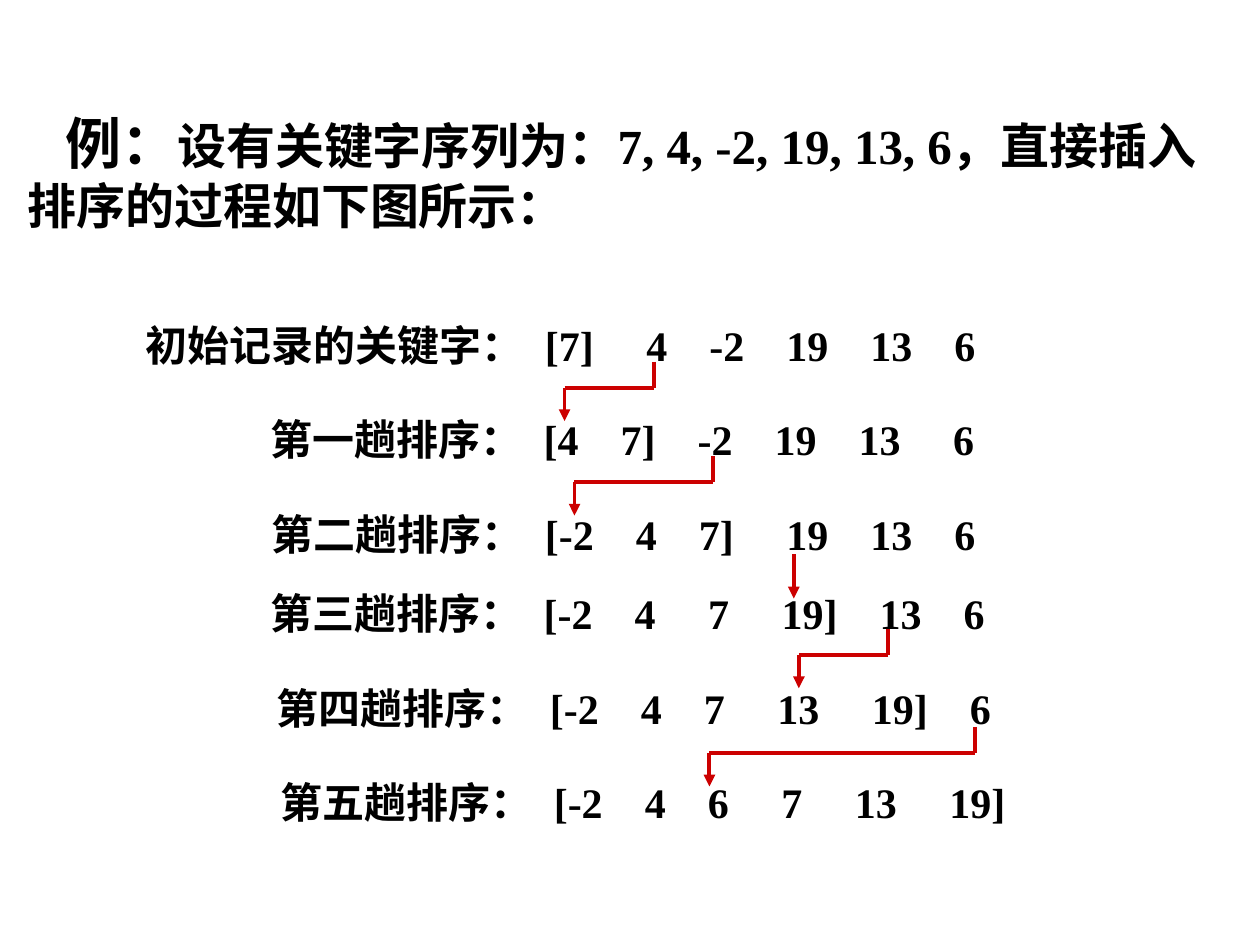
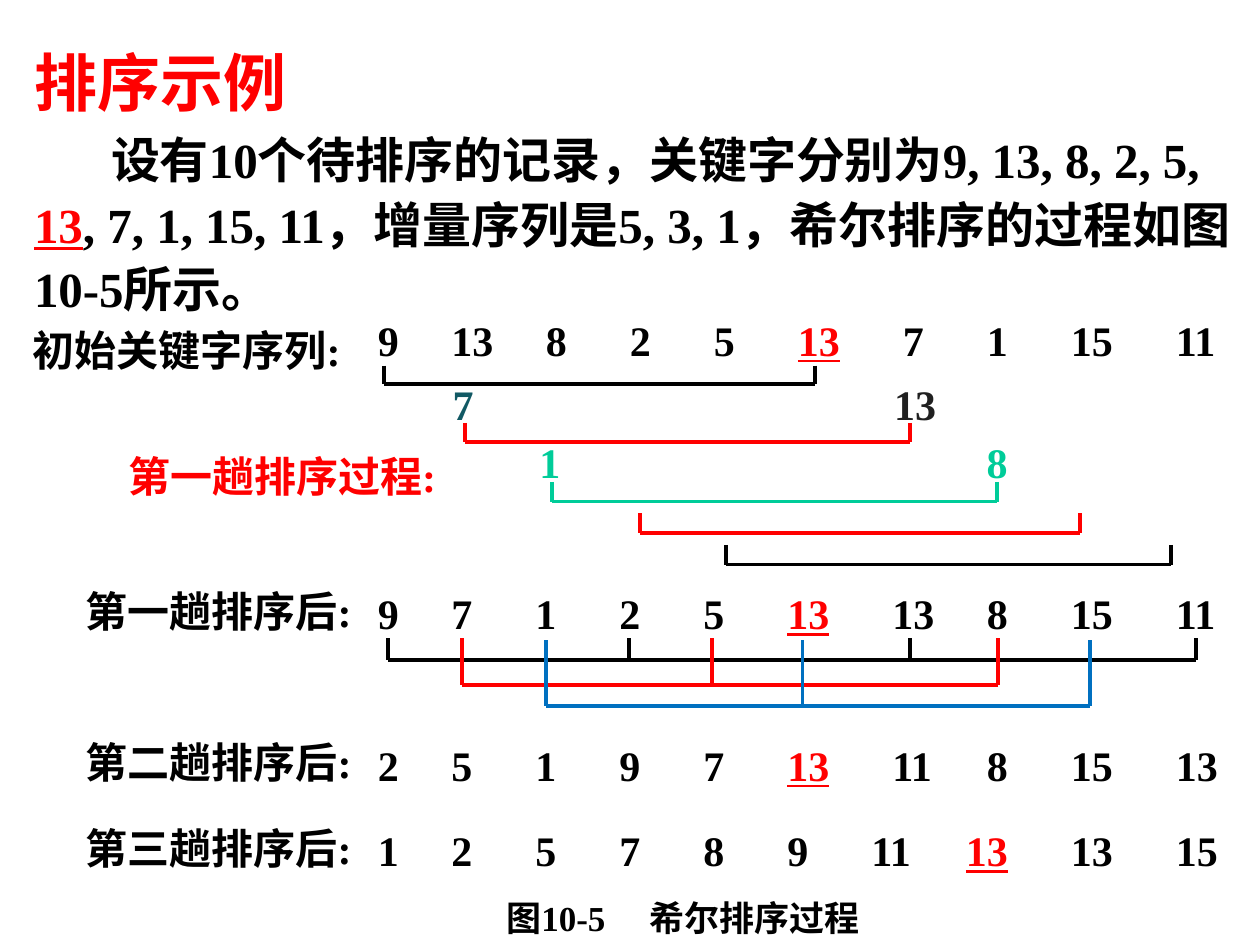
from itertools import accumulate

from pptx import Presentation
from pptx.dml.color import RGBColor
from pptx.enum.shapes import MSO_CONNECTOR as Connector
from pptx.enum.text import MSO_ANCHOR as Anchor, MSO_AUTO_SIZE as AutoSize, PP_ALIGN as Align
from pptx.oxml.ns import qn
from pptx.util import Pt
from lxml.etree import SubElement

BLACK = RGBColor(0x00, 0x00, 0x00)
RED = RGBColor(0xFF, 0x00, 0x00)
ARROW_RED = RGBColor(0xCC, 0x00, 0x00)
BLUE = RGBColor(0x00, 0x70, 0xC0)
GREEN = RGBColor(0x00, 0xCC, 0x99)
TEAL = RGBColor(0x11, 0x59, 0x64)
CHARCOAL = RGBColor(0x20, 0x20, 0x20)

LATIN_FONT = "Times New Roman"
CJK_FONT = "Noto Sans CJK SC"
ROW_SIZE = 24
DIGIT_WIDTH, SIGN_WIDTH = 12, 8
NARROW, WIDE, EXTRA = 24, 30, 36
INSET = 7.2
BLANK_LAYOUT, CONTENT_LAYOUT = 6, 1


def cell_width(cell):
    return sum(DIGIT_WIDTH if char.isdigit() else SIGN_WIDTH for char in cell)


class SortingDeck:
    def __init__(self):
        self.presentation = Presentation()
        self.presentation.slide_width = Pt(720)
        self.presentation.slide_height = Pt(540)
        self.slide = None

    def new_slide(self, layout):
        self.slide = self.presentation.slides.add_slide(
            self.presentation.slide_layouts[layout])

    def frame(self, shape, anchor, inset=INSET):
        """Set the insets and anchor, and return the first paragraph."""
        text_frame = shape.text_frame
        text_frame.word_wrap = True
        text_frame.auto_size = AutoSize.NONE
        text_frame.vertical_anchor = anchor
        text_frame.margin_left = text_frame.margin_right = Pt(inset)
        text_frame.margin_top = text_frame.margin_bottom = Pt(3.6)
        return text_frame.paragraphs[0]

    def box(self, left, top, width, height=31, anchor=Anchor.MIDDLE, inset=INSET):
        shape = self.slide.shapes.add_textbox(Pt(left), Pt(top), Pt(width), Pt(height))
        return self.frame(shape, anchor, inset)

    def placeholder(self, index, left, top, width, height):
        shape = self.slide.placeholders[index]
        shape.left, shape.top = Pt(left), Pt(top)
        shape.width, shape.height = Pt(width), Pt(height)
        paragraph = self.frame(shape, Anchor.TOP)
        paragraph.alignment = Align.LEFT
        paragraph.line_spacing = 1.1
        paragraph.space_before = Pt(0)
        return paragraph

    def indent(self, paragraph, first_line):
        properties = paragraph._p.get_or_add_pPr()
        properties.set("marL", "0")
        properties.set("indent", str(Pt(first_line)))
        SubElement(properties, qn("a:buNone"))

    def tab_stops(self, paragraph, positions):
        tab_list = SubElement(paragraph._p.get_or_add_pPr(), qn("a:tabLst"))
        for position in positions:
            SubElement(tab_list, qn("a:tab"), pos=str(Pt(position)), algn="l")

    def run(self, paragraph, text, size=ROW_SIZE, color=BLACK, underline=None, font=LATIN_FONT):
        run = paragraph.add_run()
        run.text = text
        run.font.name = font
        run.font.size = Pt(size)
        run.font.bold = True
        run.font.underline = underline
        run.font.color.rgb = color
        east_asian = SubElement(run._r.get_or_add_rPr(), qn("a:ea"))
        east_asian.set("typeface", CJK_FONT)

    def label(self, left, top, width, text, color=BLACK, height=31):
        self.run(self.box(left, top, width, height), text, color=color)

    def key(self, left, top, text, color):
        """A single centred key that has moved."""
        paragraph = self.box(left, top, 28, 28, inset=0)
        paragraph.alignment = Align.CENTER
        self.run(paragraph, text, color=color)

    def key_row(self, left, top, width, keys, gaps, label="", marked=None):
        """Keys on tab stops, each placed by the width and gap before it."""
        paragraph = self.box(left, top, width)
        start = ROW_SIZE * len(label) + 12 if label else 0
        steps = [cell_width(key) + gap for key, gap in zip(keys, gaps)]
        stops = list(accumulate(steps, initial=start))
        self.tab_stops(paragraph, stops if label else stops[1:])
        if label:
            self.run(paragraph, label)
            self.run(paragraph, "\t" + "\t".join(keys))
            return
        self.run(paragraph, "\t".join(keys[:marked]) + "\t")
        self.run(paragraph, keys[marked], color=RED, underline=True)
        self.run(paragraph, "\t" + "\t".join(keys[marked + 1:]))

    def line(self, x1, y1, x2, y2, color, arrow=False):
        connector = self.slide.shapes.add_connector(
            Connector.STRAIGHT, Pt(x1), Pt(y1), Pt(x2), Pt(y2))
        connector.line.color.rgb = color
        connector.line.width = Pt(2.25)
        if arrow:
            SubElement(connector.line._get_or_add_ln(), qn("a:tailEnd"), type="triangle")
        SubElement(connector._element.spPr, qn("a:effectLst"))

    def insertion_arrow(self, source_x, target_x, top):
        bar = top + 15
        self.line(source_x, top, source_x, bar, ARROW_RED)
        self.line(target_x, bar, source_x, bar, ARROW_RED)
        self.line(target_x, bar, target_x, bar + 19, ARROW_RED, arrow=True)

    def bracket(self, color, top, base, columns):
        self.line(columns[0], base, columns[-1], base, color)
        for x in columns:
            self.line(x, top, x, base, color)


def insertion_sort_slide(deck):
    deck.new_slide(BLANK_LAYOUT)
    intro = deck.box(8.64, 58.2, 702, 79, Anchor.TOP)
    deck.indent(intro, 21.5)
    deck.run(intro, "例", 32, font=CJK_FONT)
    deck.run(intro, "：", 32)
    deck.run(intro, "设有关键字序列为：7, 4, -2, 19, 13, 6，直接插入排序的过程如下图所示：", 28)

    passes = [
        (76.3, 181.4, "初始记录的关键字：", "[7] 4 -2 19 13 6",
         (WIDE, NARROW, NARROW, NARROW, NARROW)),
        (147.6, 235.4, "第一趟排序：", "[4 7] -2 19 13 6",
         (NARROW, NARROW, NARROW, NARROW, WIDE)),
        (148.3, 289.4, "第二趟排序：", "[-2 4 7] 19 13 6",
         (NARROW, NARROW, WIDE, NARROW, NARROW)),
        (147.6, 334.8, "第三趟排序：", "[-2 4 7 19] 13 6",
         (NARROW, WIDE, WIDE, NARROW, NARROW)),
        (151.2, 388.8, "第四趟排序：", "[-2 4 7 13 19] 6",
         (NARROW, NARROW, WIDE, WIDE, NARROW)),
        (153.4, 442.8, "第五趟排序：", "[-2 4 6 7 13 19]",
         (NARROW, NARROW, WIDE, WIDE, WIDE)),
    ]
    for left, top, label, keys, gaps in passes:
        deck.key_row(left, top, 590 - left, keys.split(), gaps, label)

    for source_x, target_x, top in [(373.7, 322.6, 206.6), (407.5, 328.3, 260.6),
                                    (507.6, 456.5, 359.3), (557.3, 405.4, 415.4)]:
        deck.insertion_arrow(source_x, target_x, top)
    deck.line(453.6, 316.8, 453.6, 342, ARROW_RED, arrow=True)


def shell_sort_slide(deck):
    deck.new_slide(CONTENT_LAYOUT)
    title = deck.placeholder(0, 12.24, 16.7, 702, 50)
    deck.run(title, "排序示例", 36, RED)
    body = deck.placeholder(1, 12.24, 67, 702, 118)
    deck.indent(body, 44)
    deck.run(body, "设有10个待排序的记录，关键字分别为9, 13, 8, 2, 5, ", 28)
    deck.run(body, "13", 28, RED, underline=True)
    deck.run(body, ", 7, 1, 15, 11，增量序列是5, 3, 1，希尔排序的过程如图10-5所示。", 28)

    initial_gaps = [WIDE] * 2 + [EXTRA] * 7
    pass_gaps = [WIDE] + [EXTRA] * 5 + [WIDE] + [EXTRA] * 2
    rows = [
        (178.6, "9 13 8 2 5 13 7 1 15 11", initial_gaps, 5),
        (334.8, "9 7 1 2 5 13 13 8 15 11", pass_gaps, 5),
        (421.2, "2 5 1 9 7 13 11 8 15 13", pass_gaps, 5),
        (470.2, "1 2 5 7 8 9 11 13 13 15", pass_gaps, 7),
    ]
    for top, keys, gaps, marked in rows:
        deck.key_row(208.8, top, 505, keys.split(), gaps, marked=marked)

    deck.label(11.5, 184.3, 200, "初始关键字序列:")
    deck.label(66.2, 256.3, 200, "第一趟排序过程:", RED)
    for (top, *_), ordinal in zip(rows[1:], "一二三"):
        deck.label(41.8, top, 172, f"第{ordinal}趟排序后:", height=28)

    for left, top, text, color in [(250.6, 216.7, "7", TEAL), (509, 216.7, "13", CHARCOAL),
                                   (300.2, 249.8, "1", GREEN), (555.8, 249.8, "8", GREEN)]:
        deck.key(left, top, text, color)

    for color, top, base, columns in [
        (BLACK, 209, 219.6, (219.6, 465.8)),
        (RED, 241.6, 252.7, (265.7, 519.8)),
        (GREEN, 275.4, 286.6, (315.4, 569.5)),
        (RED, 293.4, 304.6, (365.8, 617)),
        (BLACK, 311.4, 322.6, (414.7, 668.9)),
        (BLACK, 364.6, 377.3, (221.8, 359.3, 519.8, 683.3)),
        (RED, 364.6, 391.7, (264.2, 406.8, 570.2)),
        (BLUE, 366, 403.2, (311.8, 458.6, 622.8)),
    ]:
        deck.bracket(color, top, base, columns)

    caption = deck.box(282.2, 509, 220)
    deck.tab_stops(caption, [82])
    deck.run(caption, "图10-5\t希尔排序过程", 20)


def main():
    deck = SortingDeck()
    insertion_sort_slide(deck)
    shell_sort_slide(deck)
    deck.presentation.save("out.pptx")


if __name__ == "__main__":
    main()
